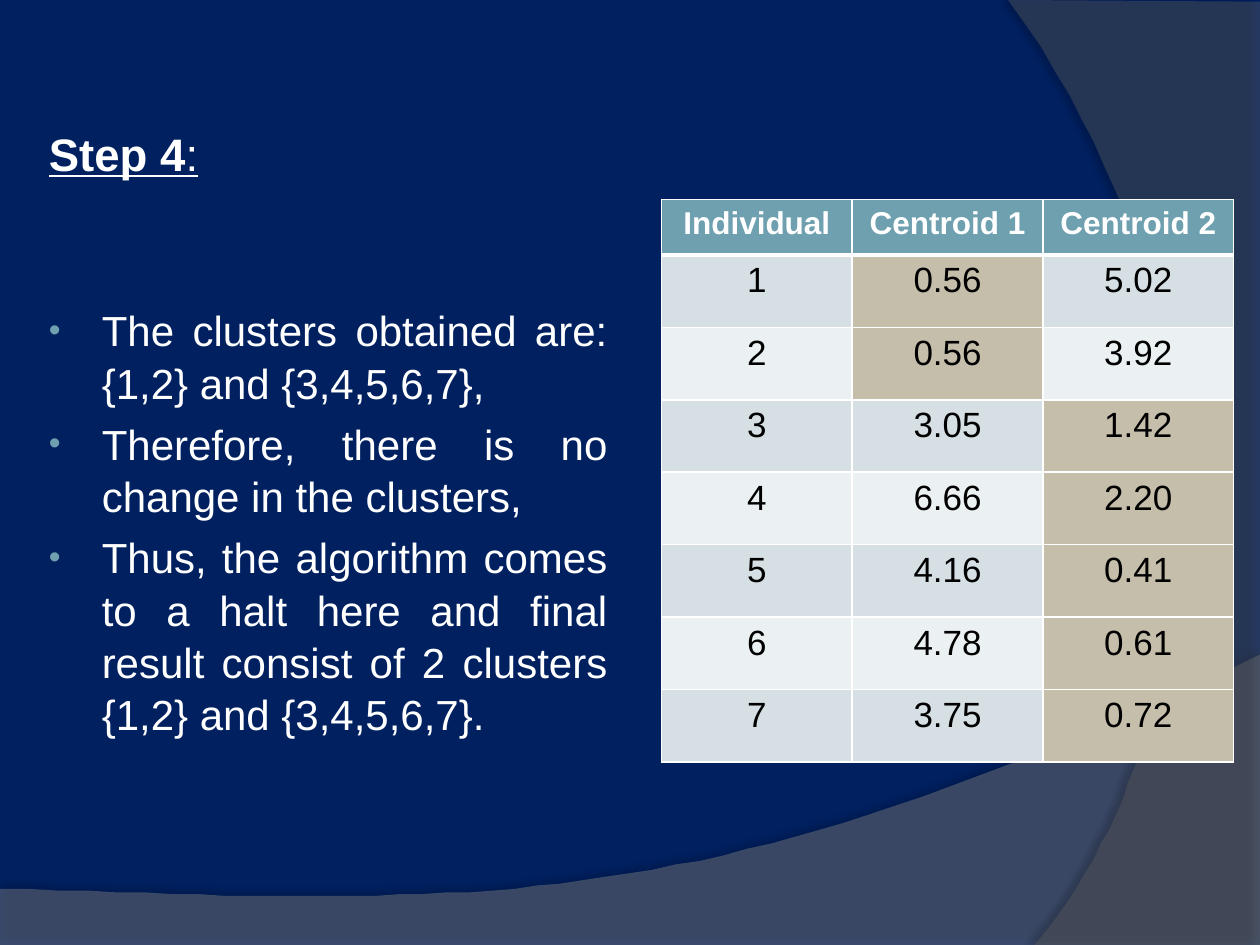
from lxml import etree
from pptx import Presentation
from pptx import util as u
from pptx.dml import color
from pptx.enum import text
from pptx.oxml import ns, xmlchemy

COLORS = {
    "navy": "002060", "wave": "7F7F7F", "arc": "5E5E5E", "shadow": "000000",
    "white": "FFFFFF", "black": "000000", "teal": "6EA0B0",
    "odd": "D5DFE4", "even": "EBF0F2", "nearest": "C5BEAB",
}
TITLE = {"name": "Arial", "size": u.Pt(26), "bold": True, "underline": True}
COLON = {**TITLE, "bold": False}
BODY = {"name": "Arial", "size": u.Pt(24), "bold": False}
HEADER = {"name": "Arial", "size": u.Pt(18), "bold": True}
VALUE = {"name": "Arial", "size": u.Pt(20), "bold": False}

CONCLUSIONS = [
    "The clusters obtained are: {1,2} and {3,4,5,6,7},",
    "Therefore, there is no change in the clusters,",
    "Thus, the algorithm comes to a halt here and final result consist of "
    "2 clusters {1,2} and {3,4,5,6,7}.",
]
HEADINGS = ["Individual", "Centroid 1", "Centroid 2"]
DISTANCES = [
    ("0.56", "5.02"), ("0.56", "3.92"), ("3.05", "1.42"), ("6.66", "2.20"),
    ("4.16", "0.41"), ("4.78", "0.61"), ("3.75", "0.72"),
]


def rgb(key):
    return color.RGBColor.from_string(COLORS[key])


def add_xml(parent, tag, **attributes):
    child = etree.SubElement(parent, ns.qn(tag))
    for name, value in attributes.items():
        child.set(name, str(value))
    return child


def paint(fill, key):
    fill.solid()
    fill.fore_color.rgb = rgb(key)


def add_run(paragraph, words, style, ink):
    run = paragraph.add_run()
    run.text = words
    for name, value in style.items():
        setattr(run.font, name, value)
    run.font.color.rgb = rgb(ink)


def curve(start, control1, control2, end, steps=48):
    points = []
    for step in range(1, steps + 1):
        t = step / steps
        weights = ((1 - t) ** 3, 3 * t * (1 - t) ** 2, 3 * t * t * (1 - t), t ** 3)
        points.append(tuple(
            sum(w * p[axis] for w, p in zip(weights, (start, control1, control2, end)))
            for axis in (0, 1)
        ))
    return points


def add_swoosh(slide, outline, key, opacity, shade, distance, direction):
    builder = slide.shapes.build_freeform(*outline[0], scale=u.Pt(1))
    builder.add_line_segments(outline[1:], close=True)
    swoosh = builder.convert_to_shape()
    swoosh.line.fill.background()
    paint(swoosh.fill, key)
    properties = swoosh.fill._xPr
    tint = properties.find(".//" + ns.qn("a:srgbClr"))
    add_xml(tint, "a:alpha", val=opacity * 1000)
    swoosh.shadow.inherit = False
    effects = properties.find(ns.qn("a:effectLst"))
    outer = add_xml(effects, "a:outerShdw", blurRad=u.Pt(4), dist=u.Pt(distance),
                    dir=direction * 60000, algn="ctr", rotWithShape=0)
    dark = add_xml(outer, "a:srgbClr", val=COLORS["shadow"])
    add_xml(dark, "a:alpha", val=shade * 1000)


def indent(paragraph, margin, first=0):
    properties = paragraph._p.get_or_add_pPr()
    properties.set("marL", str(u.Pt(margin)))
    properties.set("indent", str(u.Pt(first)))
    return properties


def add_explanation(slide):
    box = slide.shapes.add_textbox(u.Pt(18), u.Pt(67), u.Pt(336.25), u.Pt(461.5))
    frame = box.text_frame
    frame.word_wrap = True
    step = frame.paragraphs[0]
    step.line_spacing = 1.04
    indent(step, 2.88)
    add_run(step, "Step 4", TITLE, "white")
    add_run(step, ":", COLON, "white")
    for index, conclusion in enumerate(CONCLUSIONS):
        item = frame.add_paragraph()
        item.alignment = text.PP_ALIGN.JUSTIFY
        item.line_spacing = 1.04
        item.space_before = u.Pt(5 if index else 70)
        properties = indent(item, 33.12, -30.24)
        add_xml(add_xml(properties, "a:buClr"), "a:srgbClr", val=COLORS["teal"])
        add_xml(properties, "a:buSzPct", val=80000)
        add_xml(properties, "a:buFont", typeface="Arial")
        add_xml(properties, "a:buChar", char="•")
        add_run(item, conclusion, BODY, "white")


def fill_cell(cell, words, style, ink, background, bottom=1):
    properties = cell._tc.get_or_add_tcPr()
    for side, width in (("L", 1), ("R", 1), ("T", 1), ("B", bottom)):
        border = add_xml(properties, "a:ln" + side, w=u.Pt(width))
        add_xml(add_xml(border, "a:solidFill"), "a:srgbClr", val=COLORS["white"])
    paint(cell.fill, background)
    paragraph = cell.text_frame.paragraphs[0]
    paragraph.alignment = text.PP_ALIGN.CENTER
    add_run(paragraph, words, style, ink)


def add_distances(slide):
    header_height, row_height, column_width = 31.68, 41.4, 109
    count = len(DISTANCES)
    table = slide.shapes.add_table(
        count + 1, 3, u.Pt(378), u.Pt(114), u.Pt(3 * column_width),
        u.Pt(header_height + count * row_height)).table
    for column in table.columns:
        column.width = u.Pt(column_width)
    for index, row in enumerate(table.rows):
        row.height = u.Pt(row_height if index else header_height)
    for column, heading in enumerate(HEADINGS):
        fill_cell(table.cell(0, column), heading, HEADER, "white", "teal", bottom=3)
    for individual, pair in enumerate(DISTANCES, 1):
        band = "odd" if individual % 2 else "even"
        nearest = 1 + pair.index(min(pair, key=float))
        for column, words in enumerate((str(individual), *pair)):
            background = "nearest" if column == nearest else band
            if individual == 1:
                table.cell(1, column)._tc.get_or_add_tcPr()
            fill_cell(table.cell(individual, column), words, VALUE, "black",
                      background)
    for column in range(3):
        top = table.cell(1, column)._tc.tcPr.find(ns.qn("a:lnT"))
        top.set("w", str(u.Pt(3)))


def main():
    deck = Presentation()
    deck.slide_width, deck.slide_height = u.Pt(720), u.Pt(540)
    slide = deck.slides.add_slide(deck.slide_layouts[6])
    paint(slide.background.fill, "navy")
    wave = [(0, 507.6), (0, 540), (720, 540), (720, 374.4)]
    wave += curve(wave[-1], (402.5, 524.9), (281.5, 517.7), wave[0])
    add_swoosh(slide, wave, "wave", 45, 35, 3.5, 270)
    arc = [(720, 1.44), (720, 540), (591, 540)]
    arc += curve(arc[-1], (673.2, 445.7), (733, 216), (576, 0))
    add_swoosh(slide, arc, "arc", 40, 45, 4, 180)
    add_explanation(slide)
    add_distances(slide)
    deck.save("out.pptx")


if __name__ == "__main__":
    main()
